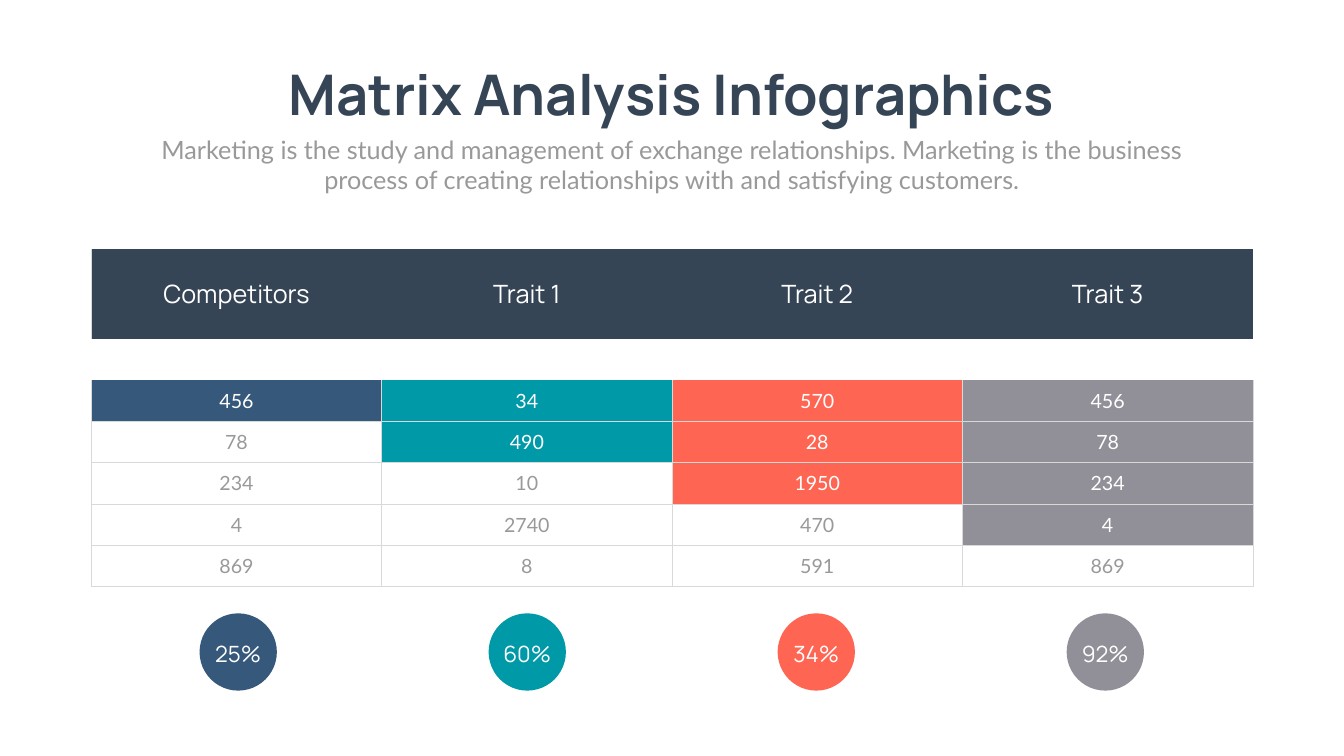
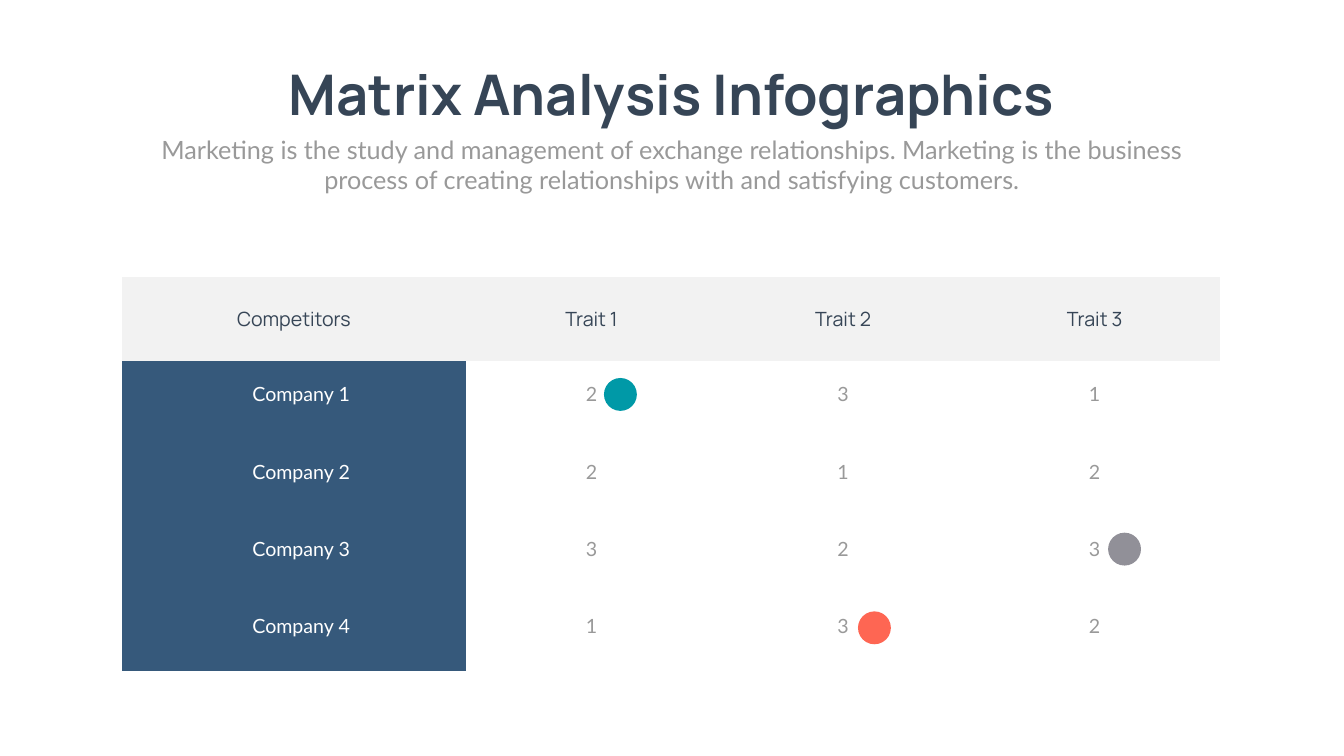
"""Build two matrix analysis slides with comparison tables."""
import pptx
import pptx.dml.color
import pptx.enum.shapes
import pptx.enum.text
import pptx.oxml
import pptx.oxml.ns
import pptx.util

Pt = pptx.util.Pt
RGBColor = pptx.dml.color.RGBColor

WHITE = RGBColor(0xFF, 0xFF, 0xFF)
DARK = RGBColor(0x36, 0x45, 0x56)
BLUE = RGBColor(0x36, 0x59, 0x7B)
TEAL = RGBColor(0x00, 0x99, 0xA7)
CORAL = RGBColor(0xFE, 0x66, 0x53)
GRAY = RGBColor(0x91, 0x90, 0x98)
TEXT_GRAY = RGBColor(0x99, 0x99, 0x99)
PALE = RGBColor(0xF2, 0xF2, 0xF2)
GRID = RGBColor(0xD9, 0xD9, 0xD9)

HEADING_FONT = "Manrope"
BODY_FONT = "Lato"
NO_STYLE = "{2D5ABB26-0587-4C30-8999-92F81FD0307C}"

TITLE = "Matrix Analysis Infographics"
SUBTITLE = (
    "Marketing is the study and management of exchange relationships. "
    "Marketing is the business process of creating relationships with "
    "and satisfying customers."
)
HEADERS = ["Competitors", "Trait 1", "Trait 2", "Trait 3"]


class Deck:
    """Hold the presentation, its style and the current slide."""

    def __init__(self):
        self.presentation = pptx.Presentation()
        self.presentation.slide_width = Pt(1919.5)
        self.presentation.slide_height = Pt(1080)
        self.slide = None

    def add_slide(self):
        layout = self.presentation.slide_layouts[5]
        self.slide = self.presentation.slides.add_slide(layout)
        title = self.slide.shapes.title
        title.left, title.top, title.width, title.height = Pt(358), Pt(81), Pt(1203), Pt(104)
        self.set_text(title.text_frame, TITLE, 80, HEADING_FONT, DARK, bold=True)
        title.text_frame.word_wrap = False
        title.text_frame.auto_size = pptx.enum.text.MSO_AUTO_SIZE.NONE
        title.text_frame.vertical_anchor = pptx.enum.text.MSO_ANCHOR.TOP
        subtitle = self.slide.shapes.add_textbox(Pt(210), Pt(188), Pt(1499), Pt(94))
        subtitle.text_frame.word_wrap = True
        self.set_text(subtitle.text_frame, SUBTITLE, 36, BODY_FONT, TEXT_GRAY)

    def set_text(self, text_frame, text, size, font_name, color, bold=False):
        paragraph = text_frame.paragraphs[0]
        paragraph.text = text
        paragraph.alignment = pptx.enum.text.PP_ALIGN.CENTER
        paragraph.font.size = Pt(size)
        paragraph.font.name = font_name
        paragraph.font.bold = bold
        paragraph.font.color.rgb = color

    def add_table(self, left, top, widths, heights):
        frame = self.slide.shapes.add_table(
            len(heights), len(widths), Pt(left), Pt(top), Pt(sum(widths)), Pt(sum(heights))
        )
        table = frame.table
        table.first_row = table.horz_banding = False
        table._tbl.tblPr.find(pptx.oxml.ns.qn("a:tableStyleId")).text = NO_STYLE
        for column, width in zip(table.columns, widths):
            column.width = Pt(width)
        for row, height in zip(table.rows, heights):
            row.height = Pt(height)
        return table

    def fill_cell(self, cell, text, size, font_name, color, fill, borders=""):
        for side in borders:
            line = pptx.oxml.parse_xml(
                f'<a:ln{side} {pptx.oxml.ns.nsdecls("a")} w="12700"><a:solidFill>'
                f'<a:srgbClr val="{GRID}"/></a:solidFill></a:ln{side}>'
            )
            cell._tc.get_or_add_tcPr().append(line)
        cell.fill.solid()
        cell.fill.fore_color.rgb = fill
        cell.vertical_anchor = pptx.enum.text.MSO_ANCHOR.MIDDLE
        if text:
            self.set_text(cell.text_frame, text, size, font_name, color)

    def add_circle(self, left, top, diameter, fill, text=""):
        circle = self.slide.shapes.add_shape(
            pptx.enum.shapes.MSO_SHAPE.OVAL, Pt(left), Pt(top), Pt(diameter), Pt(diameter)
        )
        circle.shadow.inherit = False
        circle.fill.solid()
        circle.fill.fore_color.rgb = fill
        circle.line.fill.background()
        if text:
            text_frame = circle.text_frame
            text_frame.margin_left = text_frame.margin_right = text_frame.margin_bottom = 0
            text_frame.margin_top = Pt(4)
            text_frame.word_wrap = False
            self.set_text(text_frame, text, 32, HEADING_FONT, WHITE)


def build_staircase_slide(deck):
    values = [
        ["456", "34", "570", "456"],
        ["78", "490", "28", "78"],
        ["234", "10", "1950", "234"],
        ["4", "2740", "470", "4"],
        ["869", "8", "591", "869"],
    ]
    colors = [BLUE, TEAL, CORAL, GRAY]
    shares = ["25%", "60%", "34%", "92%"]
    deck.add_slide()
    table = deck.add_table(130.3, 355, [414.75] * 4, [128.9] + [59] * 6)
    for column, (header, color, share) in enumerate(zip(HEADERS, colors, shares)):
        borders = "L" if column == 0 else ""
        deck.fill_cell(table.cell(0, column), header, 36, HEADING_FONT, WHITE, DARK, borders)
        deck.fill_cell(table.cell(1, column), "", 28, BODY_FONT, WHITE, WHITE)
        for row, row_values in enumerate(values):
            text_color, fill = (WHITE, color) if row <= column else (TEXT_GRAY, WHITE)
            borders = "LRB" if row == 0 else "LRTB"
            deck.fill_cell(
                table.cell(row + 2, column), row_values[column], 28, BODY_FONT, text_color, fill, borders
            )
        deck.add_circle(285 + 412.8 * column, 876.2, 110.4, color, share)


def build_company_slide(deck):
    scores = [["2", "3", "1"], ["2", "1", "2"], ["3", "2", "3"], ["1", "3", "2"]]
    deck.add_slide()
    table = deck.add_table(174.2, 396, [491] + [359.3] * 3, [120.2] + [94.3, 126.7] * 2)
    for column, header in enumerate(HEADERS):
        deck.fill_cell(table.cell(0, column), header, 28, HEADING_FONT, DARK, PALE)
    for row, row_scores in enumerate(scores, start=1):
        company = table.cell(row, 0)
        deck.fill_cell(company, f"Company {row}", 28, BODY_FONT, WHITE, BLUE)
        company.margin_left = Pt(28)
        for column, score in enumerate(row_scores, start=1):
            deck.fill_cell(table.cell(row, column), score, 28, BODY_FONT, TEXT_GRAY, WHITE)
    for left, top, color in [(862.6, 540, TEAL), (1225.4, 873.4, CORAL), (1582.6, 761, GRAY)]:
        deck.add_circle(left, top, 47, color)


def main():
    deck = Deck()
    build_staircase_slide(deck)
    build_company_slide(deck)
    deck.presentation.save("out.pptx")


if __name__ == "__main__":
    main()
